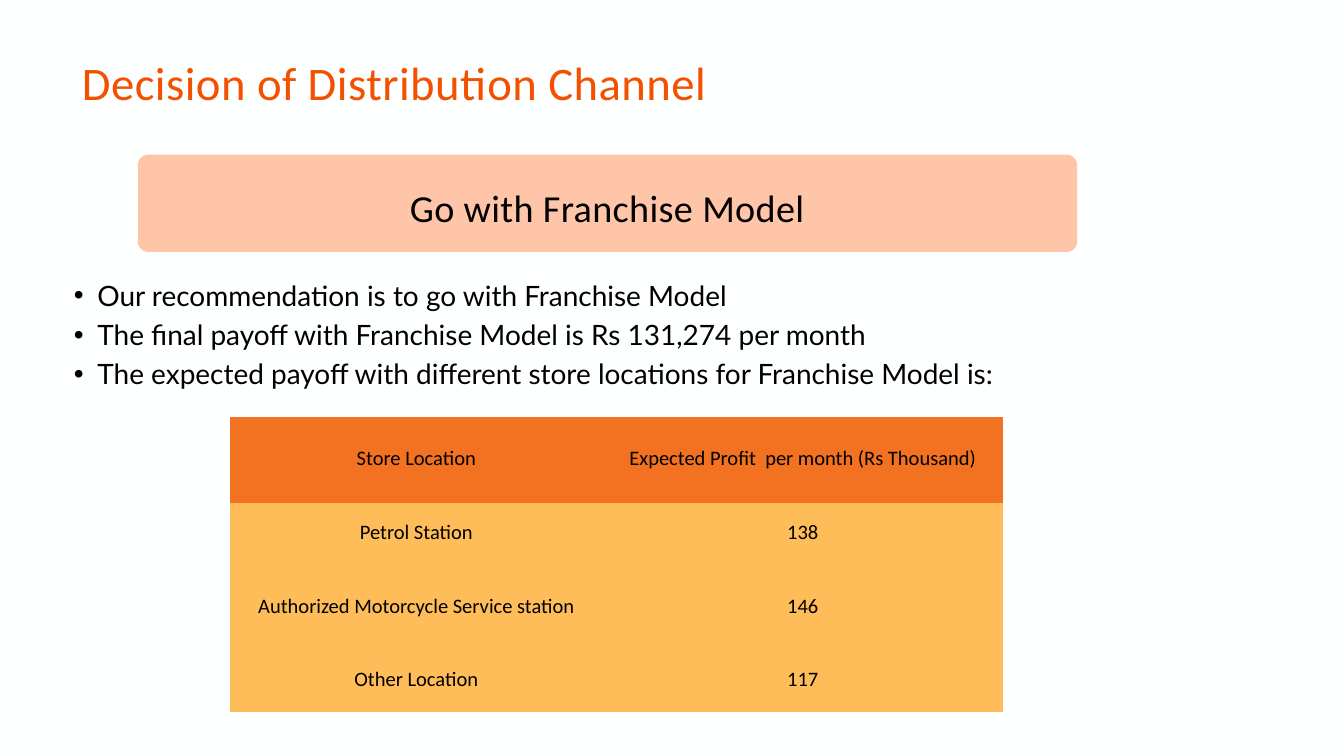
from pptx import Presentation
from pptx.dml.color import RGBColor
from pptx.enum.shapes import MSO_SHAPE as Shape
from pptx.enum.text import MSO_ANCHOR as Anchor, PP_ALIGN as Align
from pptx.oxml.ns import qn
from pptx.util import Inches, Pt
from lxml.etree import SubElement

BACKGROUND, PEACH, ORANGE, AMBER = "FEFFFF", "FFC5A8", "F37221", "FFBD59"
TITLE_COLOR, BLACK = "F35000", "000000"

POINTS = [
    "Our recommendation is to go with Franchise Model",
    "The final payoff with Franchise Model is Rs 131,274 per month",
    "The expected payoff with different store locations for Franchise Model is:",
]
PROFITS = [
    ("Store Location", "Expected Profit  per month (Rs Thousand)"),
    ("Petrol Station", "138"),
    ("Authorized Motorcycle Service station", "146"),
    ("Other Location", "117"),
]


def color(hex_code):
    return RGBColor.from_string(hex_code)


def set_margins(owner, inset):
    owner.margin_left = owner.margin_right = Inches(inset)
    owner.margin_top = owner.margin_bottom = Inches(inset)


def add_bullet(paragraph, margin, hanging):
    paragraph.level = 1
    props = paragraph._p.get_or_add_pPr()
    props.set("marL", str(Inches(margin)))
    props.set("indent", str(-Inches(hanging)))
    SubElement(props, qn("a:buFont")).set("typeface", "Arial")
    SubElement(props, qn("a:buChar")).set("char", "•")


def write(frame, lines, size, leading, font="Calibri", fill=BLACK,
          align=Align.LEFT, spacing=0, bullets=False):
    """Fill a text frame with one paragraph per line."""
    frame.word_wrap = True
    for index, line in enumerate(lines):
        paragraph = frame.add_paragraph() if index else frame.paragraphs[0]
        if bullets:
            add_bullet(paragraph, 0.71, 0.35)
        paragraph.alignment = align
        paragraph.line_spacing = Pt(leading)
        run = paragraph.add_run()
        run.text = line
        run.font.size = Pt(size)
        run.font.name = font
        run.font.color.rgb = color(fill)
        if spacing:
            run._r.get_or_add_rPr().set("spc", str(round(spacing * 100)))


def add_text(slide, box, lines, **style):
    frame = slide.shapes.add_textbox(*map(Inches, box)).text_frame
    set_margins(frame, 0)
    write(frame, lines, **style)


def add_banner(slide, box, text):
    banner = slide.shapes.add_shape(Shape.ROUNDED_RECTANGLE, *map(Inches, box))
    banner.adjustments[0] = 0.11
    banner.shadow.inherit = False
    banner.fill.solid()
    banner.fill.fore_color.rgb = color(PEACH)
    banner.line.fill.background()
    frame = banner.text_frame
    set_margins(frame, 0.07)
    frame.vertical_anchor = Anchor.MIDDLE
    write(frame, [text], size=40.9, leading=57.3, align=Align.CENTER, spacing=0.4)


def format_cell(cell, text, fill):
    props = cell._tc.get_or_add_tcPr()
    for side in ("lnL", "lnR", "lnT", "lnB"):
        border = SubElement(props, qn(f"a:{side}"))
        border.set("w", "0")
        SubElement(border, qn("a:noFill"))
    cell.fill.solid()
    cell.fill.fore_color.rgb = color(fill)
    set_margins(cell, 0.21)
    cell.vertical_anchor = Anchor.MIDDLE
    write(cell.text_frame, [text], size=22, leading=23.7, align=Align.CENTER)


def add_profit_table(slide, box, widths, heights):
    table = slide.shapes.add_table(
        len(heights), len(widths), *map(Inches, box)).table
    for column, width in zip(table.columns, widths):
        column.width = Inches(width)
    for index, (row, height) in enumerate(zip(table.rows, heights)):
        row.height = Inches(height)
        for cell, text in zip(row.cells, PROFITS[index]):
            format_cell(cell, text, AMBER if index else ORANGE)


def build_decision_slide(deck):
    slide = deck.slides.add_slide(deck.slide_layouts[6])
    slide.background.fill.solid()
    slide.background.fill.fore_color.rgb = color(BACKGROUND)
    # Recommendation banner
    add_banner(slide, (2.05, 2.3, 13.98, 1.45), "Go with Franchise Model")
    # Expected profit by location
    add_profit_table(slide, (3.42, 6.21, 11.5, 4.38),
                     widths=(5.55, 5.95), heights=(1.28, 0.91, 1.28, 0.91))
    # Title
    add_text(slide, (1.22, 0.66, 13.23, 1.06),
             ["Decision of Distribution Channel"],
             size=50, leading=70, fill=TITLE_COLOR, spacing=0.5)
    # Supporting points
    add_text(slide, (0.74, 4.06, 18.13, 1.73), POINTS,
             size=30, leading=42, font="Lato", bullets=True)


def main():
    deck = Presentation()
    deck.slide_width, deck.slide_height = Inches(20), Inches(11.25)
    build_decision_slide(deck)
    deck.save("out.pptx")


if __name__ == "__main__":
    main()
